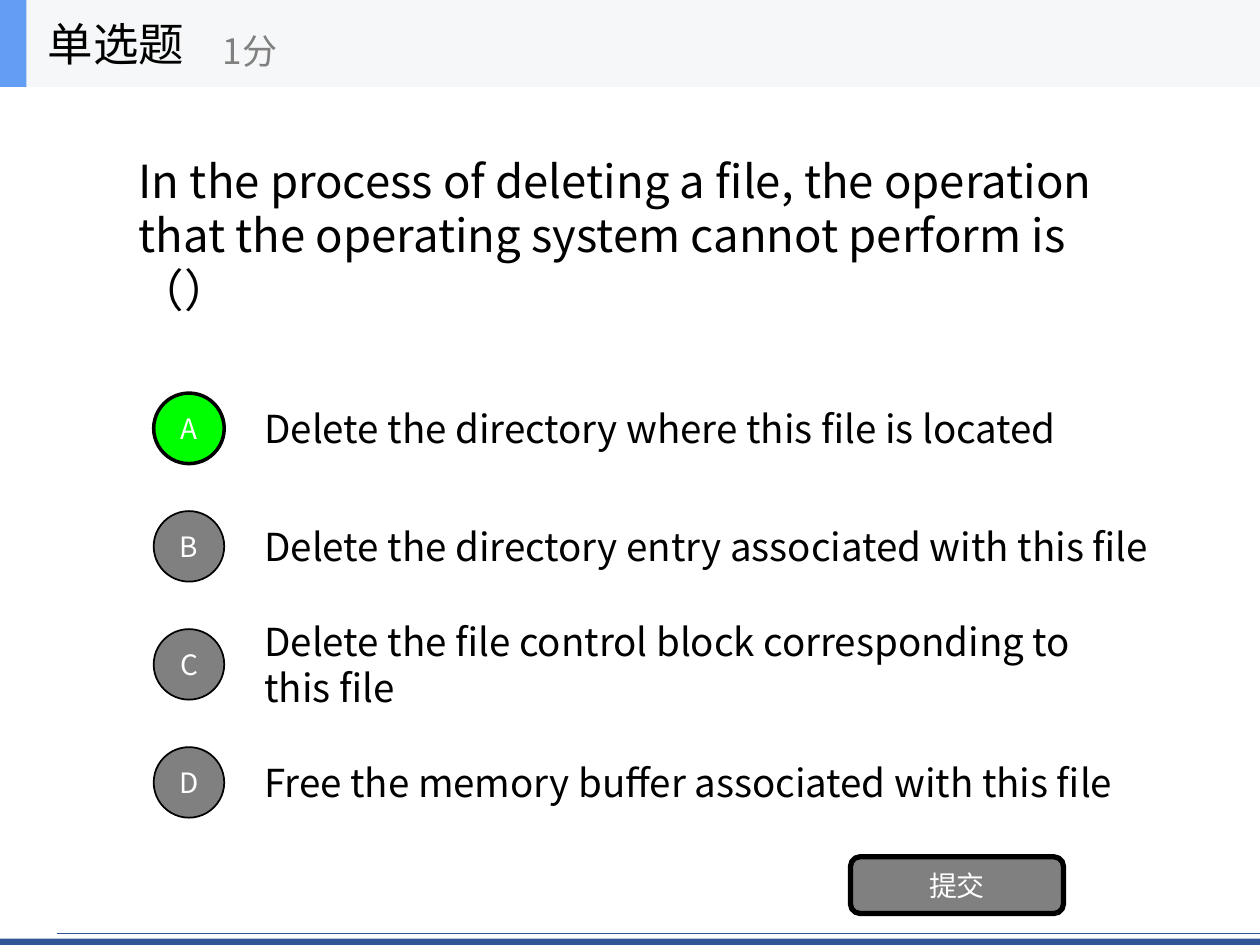
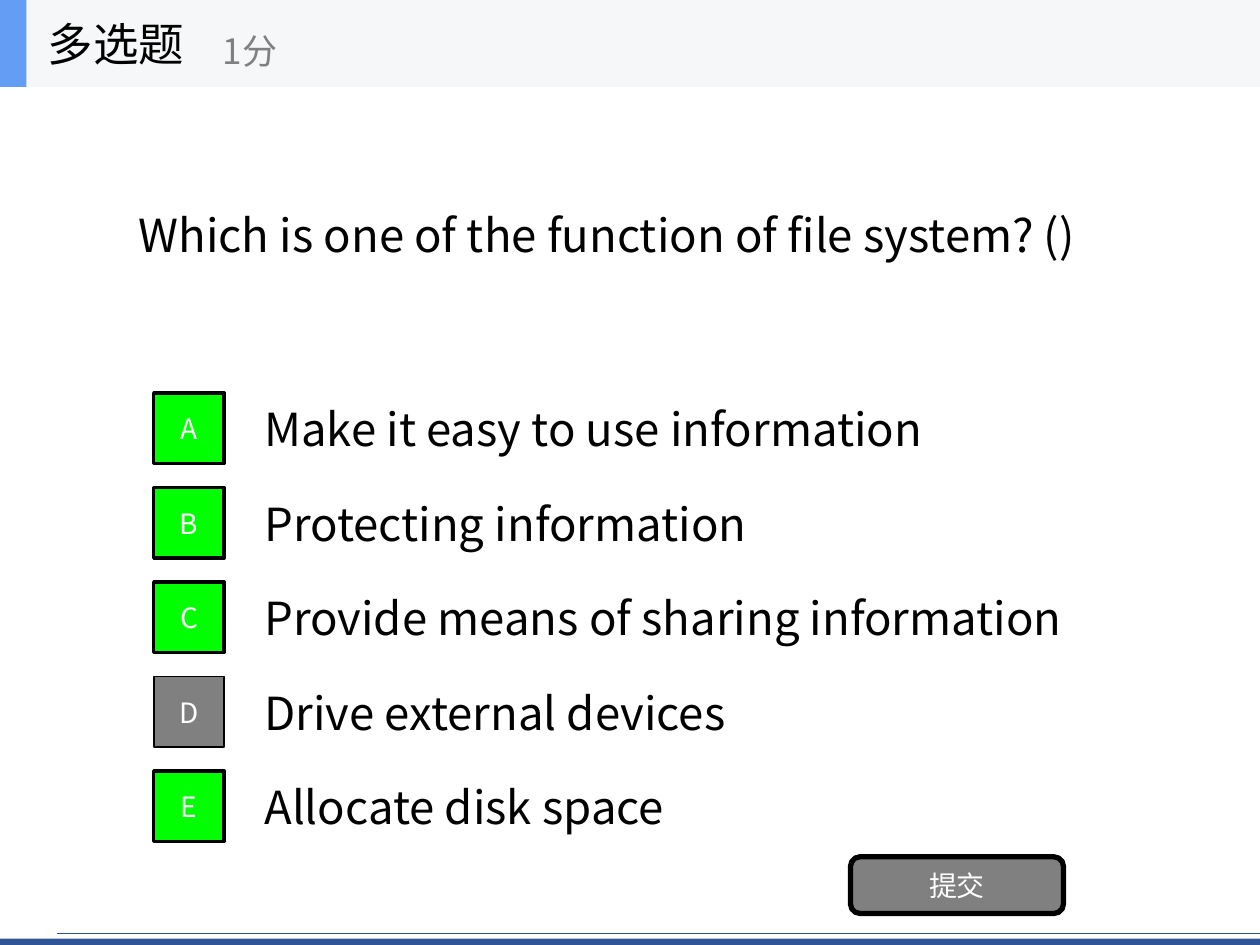
from dataclasses import dataclass

import pptx
import pptx.dml.color
import pptx.enum.shapes
import pptx.enum.text
import pptx.oxml.ns
import pptx.util
from lxml import etree
from pptx.util import Inches, Pt

FACE = "Noto Sans CJK SC"
BLACK, WHITE, GREY = "000000", "FFFFFF", "808080"
GREEN, NAVY, BLUE, PALE = "00FF00", "2F5597", "639EF4", "F6F7F8"

Kind = pptx.enum.shapes.MSO_SHAPE
Align = pptx.enum.text.PP_ALIGN


@dataclass
class Box:
    left: float
    top: float
    width: float
    height: float

    def place(self) -> tuple:
        return tuple(Inches(n) for n in (self.left, self.top, self.width, self.height))


@dataclass
class Option:
    text: str
    right: bool = False
    width: float = 7


@dataclass
class Quiz:
    title: str
    question: str
    badge: int
    size: int
    pitch: float
    options: list[Option]


HEAD = Box(0, 0, 10, 0.69)
TAB = Box(0, 0, 0.21, 0.69)
TITLE = Box(0.28, 0, 2.08, 0.69)
SCORE = Box(1.67, 0.12, 2.5, 0.56)
ASK = Box(1, 0.69, 8, 2.34)
SUBMIT = Box(6.75, 6.8, 1.69, 0.45)
FOOT = Box(0, 7.45, 10, 0.05)
FIRST = 3.05  # top of the first option


def color(code: str) -> pptx.dml.color.RGBColor:
    return pptx.dml.color.RGBColor.from_string(code)


def write(shape, text: str, size: int, ink: str = BLACK, align=Align.LEFT) -> None:
    """Fill a shape with one centred-in-height paragraph."""
    frame = shape.text_frame
    frame.text = text
    frame.word_wrap = True
    frame.auto_size = pptx.enum.text.MSO_AUTO_SIZE.NONE
    frame.vertical_anchor = pptx.enum.text.MSO_ANCHOR.MIDDLE
    par = frame.paragraphs[0]
    par.alignment = align
    if shape.is_placeholder:
        par.space_before = Pt(0)
        props = par._p.get_or_add_pPr()
        props.set("marL", "0")
        props.set("indent", "0")
        etree.SubElement(props, pptx.oxml.ns.qn("a:buNone"))
    font = par.font
    font.size, font.name = Pt(size), FACE
    font.color.rgb = color(ink)
    east = etree.SubElement(font._element, pptx.oxml.ns.qn("a:ea"))
    east.set("typeface", FACE)


def label(slide, box: Box, text: str, size: int, ink: str = BLACK) -> None:
    write(slide.shapes.add_textbox(*box.place()), text, size, ink)


def block(slide, kind: int, box: Box, fill: str, line: float = 0):
    """Draw a flat shape, outlined in black when a line width is given."""
    shape = slide.shapes.add_shape(kind, *box.place())
    shape.shadow.inherit = False
    shape.fill.solid()
    shape.fill.fore_color.rgb = color(fill)
    if line:
        shape.line.color.rgb = color(BLACK)
        shape.line.width = Pt(line)
    else:
        shape.line.fill.background()
    return shape


def button(slide, kind: int, box: Box, text: str, fill: str, line: float) -> None:
    write(block(slide, kind, box, fill, line), text, 16, WHITE, Align.CENTER)


def footer(slide) -> None:
    block(slide, Kind.RECTANGLE, FOOT, NAVY)
    rule = slide.shapes.add_connector(
        pptx.enum.shapes.MSO_CONNECTOR.STRAIGHT,
        Inches(0.45), Inches(7.41), Inches(10), Inches(7.41))
    rule.line.color.rgb = color(NAVY)
    rule.line.width = Pt(0.5)
    etree.SubElement(rule._element.spPr, pptx.oxml.ns.qn("a:effectLst"))


def holder(shape, box: Box, text: str) -> None:
    shape.left, shape.top, shape.width, shape.height = box.place()
    write(shape, text, 26)


def header(slide, title: str) -> None:
    block(slide, Kind.RECTANGLE, HEAD, PALE)
    block(slide, Kind.RECTANGLE, TAB, BLUE)
    shape = slide.shapes.title
    holder(shape, TITLE, title)
    slide.shapes._spTree.append(shape._element)  # lift above the band
    label(slide, SCORE, "1分", 20, GREY)


def build(deck, quiz: Quiz) -> None:
    slide = deck.slides.add_slide(deck.slide_layouts[1])
    footer(slide)
    holder(slide.placeholders[1], ASK, quiz.question)
    # Options with lettered badges
    for i, option in enumerate(quiz.options):
        top = FIRST + i * quiz.pitch
        label(slide, Box(2, top, option.width, 0.7), option.text, quiz.size)
        fill, line = (GREEN, 2) if option.right else (GREY, 1)
        button(slide, quiz.badge, Box(1.22, top + 0.07, 0.56, 0.56),
               "ABCDE"[i], fill, line)
    button(slide, Kind.ROUNDED_RECTANGLE, SUBMIT, "提交", GREY, 3)
    header(slide, quiz.title)


QUIZZES = [
    Quiz("单选题",
         "In the process of deleting a file, the operation that the "
         "operating system cannot perform is （）",
         Kind.OVAL, 22, 2.81 / 3, [
             Option("Delete the directory where this file is located", True),
             Option("Delete the directory entry associated with this file", width=7.5),
             Option("Delete the file control block corresponding to this file"),
             Option("Free the memory buffer associated with this file", width=7.36),
         ]),
    Quiz("多选题", "Which is one of the function of file system? ()",
         Kind.RECTANGLE, 26, 0.75, [
             Option("Make it easy to use information", True),
             Option("Protecting information", True),
             Option("Provide means of sharing information", True),
             Option("Drive external devices"),
             Option("Allocate disk space", True),
         ]),
]


def main() -> None:
    deck = pptx.Presentation()
    deck.slide_width, deck.slide_height = Inches(10), Inches(7.5)
    for quiz in QUIZZES:
        build(deck, quiz)
    deck.save("out.pptx")


if __name__ == "__main__":
    main()
